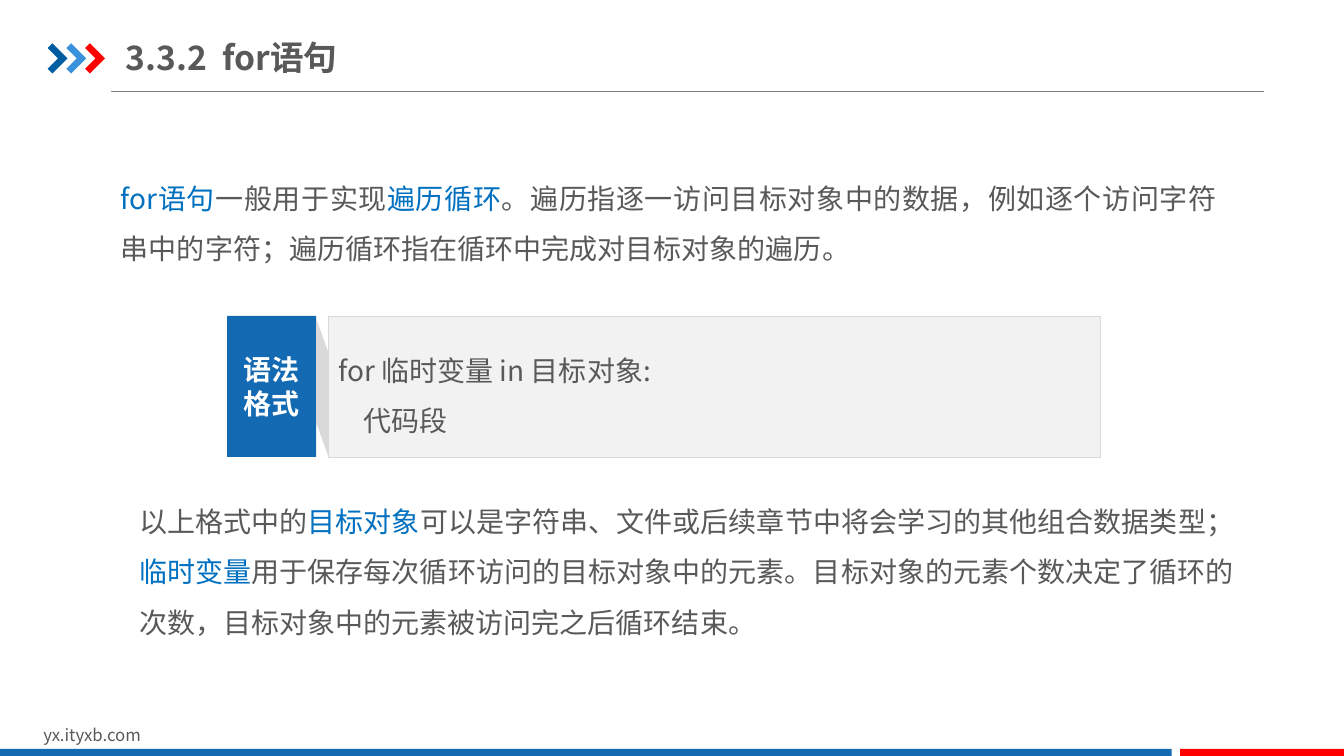
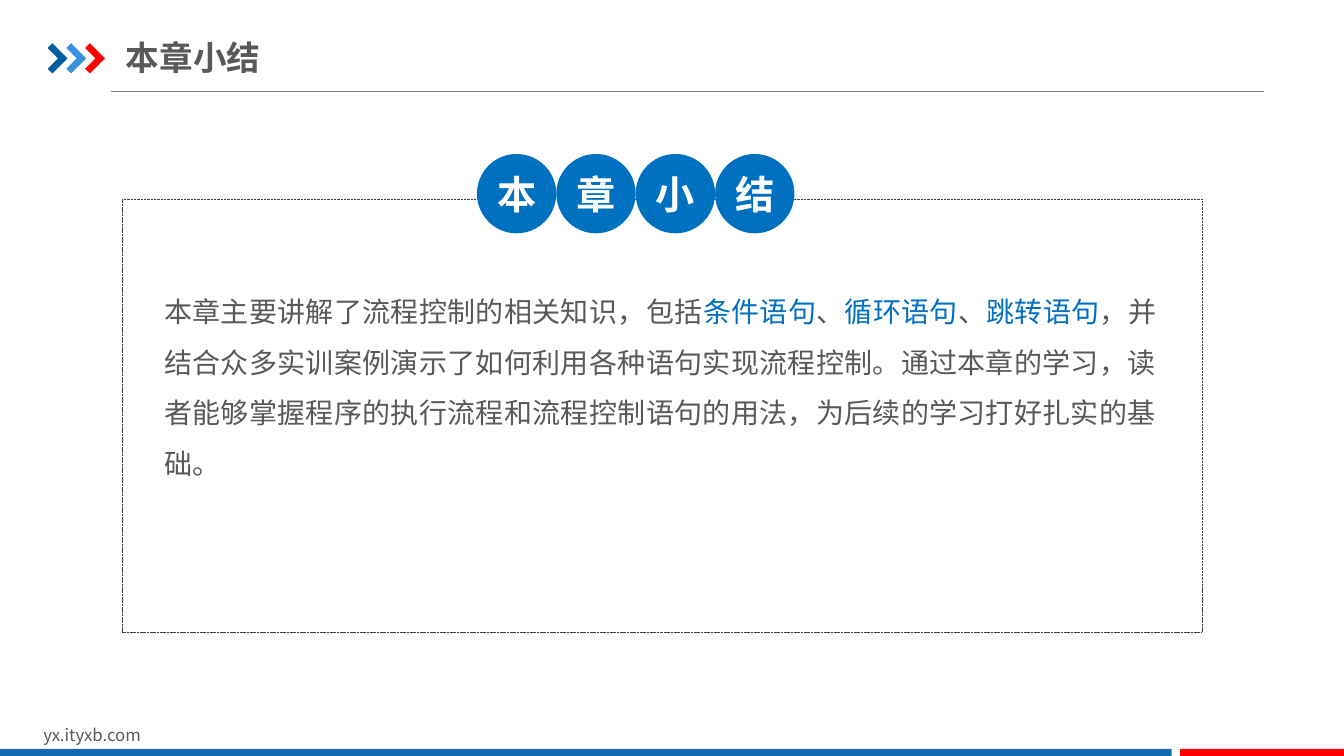
from lxml.etree import SubElement
from pptx import Presentation
from pptx.dml.color import RGBColor
from pptx.enum.dml import MSO_LINE
from pptx.enum.shapes import MSO_CONNECTOR, MSO_SHAPE
from pptx.enum.text import MSO_ANCHOR as ANCHOR, PP_ALIGN as ALIGN
from pptx.oxml.ns import qn
from pptx.util import Pt

FONT = "Noto Sans CJK SC"
GREY, ACCENT, BLUE, RED, WHITE = "595959", "0070C0", "1369B2", "FF0000", "FFFFFF"
PALE, EDGE = "F2F2F2", "D9D9D9"
hue = RGBColor.from_string


def paint(shape, fill=None, edge=None):
    shape.shadow.inherit = False
    if fill:
        shape.fill.solid()
        shape.fill.fore_color.rgb = hue(fill)
    else:
        shape.fill.background()
    if edge:
        shape.line.color.rgb = hue(edge)
        shape.line.width = Pt(0.25)
    else:
        shape.line.fill.background()


def write(shape, paragraphs, size, bold=False, align=ALIGN.LEFT,
          anchor=ANCHOR.TOP, spacing=1, inset=(7.2, 3.6)):
    frame = shape.text_frame
    frame.word_wrap = True
    frame.vertical_anchor = anchor
    frame.margin_left = frame.margin_right = Pt(inset[0])
    frame.margin_top = frame.margin_bottom = Pt(inset[1])
    for index, pieces in enumerate(paragraphs):
        paragraph = frame.add_paragraph() if index else frame.paragraphs[0]
        paragraph.alignment = align
        paragraph.line_spacing = float(spacing)
        for words, colour in pieces:
            run = paragraph.add_run()
            run.text = words
            run.font.size = Pt(size)
            run.font.bold = bold
            run.font.color.rgb = hue(colour)
            run.font.name = FONT
            SubElement(run.font._element, qn("a:ea")).set("typeface", FONT)


deck = Presentation()
deck.slide_width, deck.slide_height = Pt(960), Pt(540)

chevron = [(0, 3.4), (3.4, 0), (14.2, 10.8), (3.4, 21.6), (0, 18.2), (7.4, 10.8)]
slides = []
for heading in ("3.3.2  for语句", "本章小结"):
    slide = deck.slides.add_slide(deck.slide_layouts[6])
    slides.append(slide)
    shapes = slide.shapes

    rule = shapes.add_connector(MSO_CONNECTOR.STRAIGHT, Pt(79.2), Pt(65.5), Pt(903), Pt(65.5))
    rule.line.color.rgb = hue("808080")
    rule.line.width = Pt(0.75)
    SubElement(rule._element.spPr, qn("a:effectLst"))

    chevrons = shapes.add_group_shape()
    for step, colour in enumerate(("005DA2", "3992DB", RED)):
        corners = [(Pt(34 + 13.4 * step + x), Pt(30.9 + y)) for x, y in chevron]
        outline = chevrons.shapes.build_freeform(*corners[0])
        outline.add_line_segments(corners[1:])
        paint(outline.convert_to_shape(), colour)

    site = shapes.add_textbox(Pt(23.8), Pt(514), Pt(229), Pt(21.8))
    write(site, [[("yx.ityxb.com", GREY)]], 12)

    for left, width, colour in ((0, 837, BLUE), (843, 117, RED)):
        band = shapes.add_shape(MSO_SHAPE.RECTANGLE, Pt(left), Pt(535), Pt(width), Pt(5))
        paint(band, colour)

    title = shapes.add_textbox(Pt(90), Pt(21), Pt(446), Pt(39.6))
    write(title, [[(heading, GREY)]], 24, bold=True, anchor=ANCHOR.MIDDLE, inset=(0, 5))

statement, summary = slides

explanations = [
    (77, 112.3, 84, [
        ("for语句", ACCENT),
        ("一般用于实现", GREY),
        ("遍历循环", ACCENT),
        ("。遍历指逐一访问目标对象中的数据，例如逐个访问字符串中的字符；"
         "遍历循环指在循环中完成对目标对象的遍历。", GREY),
    ]),
    (90, 343.4, 130, [
        ("以上格式中的", GREY),
        ("目标对象", ACCENT),
        ("可以是字符串、文件或后续章节中将会学习的其他组合数据类型；", GREY),
        ("临时变量", ACCENT),
        ("用于保存每次循环访问的目标对象中的元素。目标对象的元素个数决定了循环的次数，"
         "目标对象中的元素被访问完之后循环结束。", GREY),
    ]),
]
for left, top, height, pieces in explanations:
    explanation = statement.shapes.add_textbox(Pt(left), Pt(top), Pt(801.4), Pt(height))
    write(explanation, [pieces], 20, align=ALIGN.JUSTIFY, spacing=1.5, inset=(9.4, 5))

syntax = statement.shapes.add_group_shape().shapes
code = syntax.add_shape(MSO_SHAPE.RECTANGLE, Pt(234.6), Pt(225.8), Pt(551.6), Pt(100.8))
paint(code, PALE, EDGE)
write(code, [[("for 临时变量 in 目标对象:", GREY)], [("    代码段", GREY)]], 20,
      anchor=ANCHOR.MIDDLE, spacing=1.5)

label = syntax.add_shape(MSO_SHAPE.RECTANGLE, Pt(162.2), Pt(225.6), Pt(63.7), Pt(100.8))
paint(label, BLUE)
write(label, [[("语法", WHITE)], [("格式", WHITE)]], 20, bold=True,
      align=ALIGN.CENTER, anchor=ANCHOR.MIDDLE)

fold = syntax.build_freeform(Pt(234.6), Pt(252))
fold.add_line_segments([(Pt(x), Pt(y)) for x, y in ((234.6, 326.4), (225.9, 301.8), (225.9, 227.6))])
paint(fold.convert_to_shape(), EDGE)

frame_box = summary.shapes.add_shape(MSO_SHAPE.RECTANGLE, Pt(87.4), Pt(142.2), Pt(771.2), Pt(309.4))
paint(frame_box, edge="404040")
frame_box.line.dash_style = MSO_LINE.SQUARE_DOT

recap = summary.shapes.add_textbox(Pt(117.2), Pt(198.7), Pt(708.6), Pt(145.4))
write(recap, [[
    ("本章主要讲解了流程控制的相关知识，包括", GREY),
    ("条件语句", ACCENT),
    ("、", GREY),
    ("循环语句", ACCENT),
    ("、", GREY),
    ("跳转语句", ACCENT),
    ("，并结合众多实训案例演示了如何利用各种语句实现流程控制。通过本章的学习，"
     "读者能够掌握程序的执行流程和流程控制语句的用法，为后续的学习打好扎实的基础。", GREY),
]], 20, align=ALIGN.JUSTIFY, spacing=1.5, inset=(0, 0))

diameter = 56.7
for place, character in enumerate("本章小结"):
    disc = summary.shapes.add_shape(MSO_SHAPE.OVAL, Pt(340.7 + diameter * place), Pt(110),
                                    Pt(diameter), Pt(diameter))
    paint(disc, ACCENT)
    write(disc, [[(character, WHITE)]], 28, bold=True, align=ALIGN.CENTER,
          anchor=ANCHOR.MIDDLE, inset=(0, 3.6))

deck.save("out.pptx")
